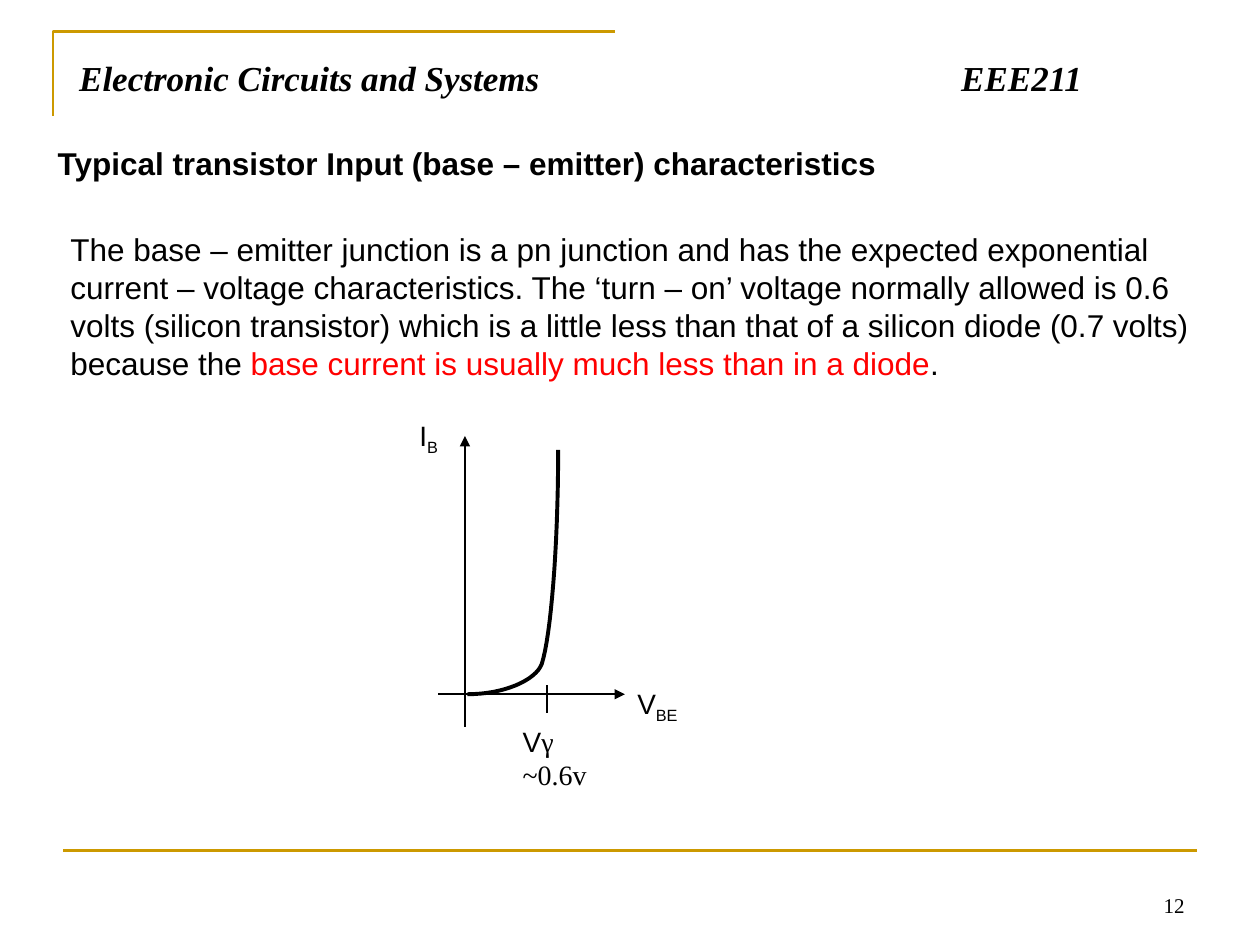
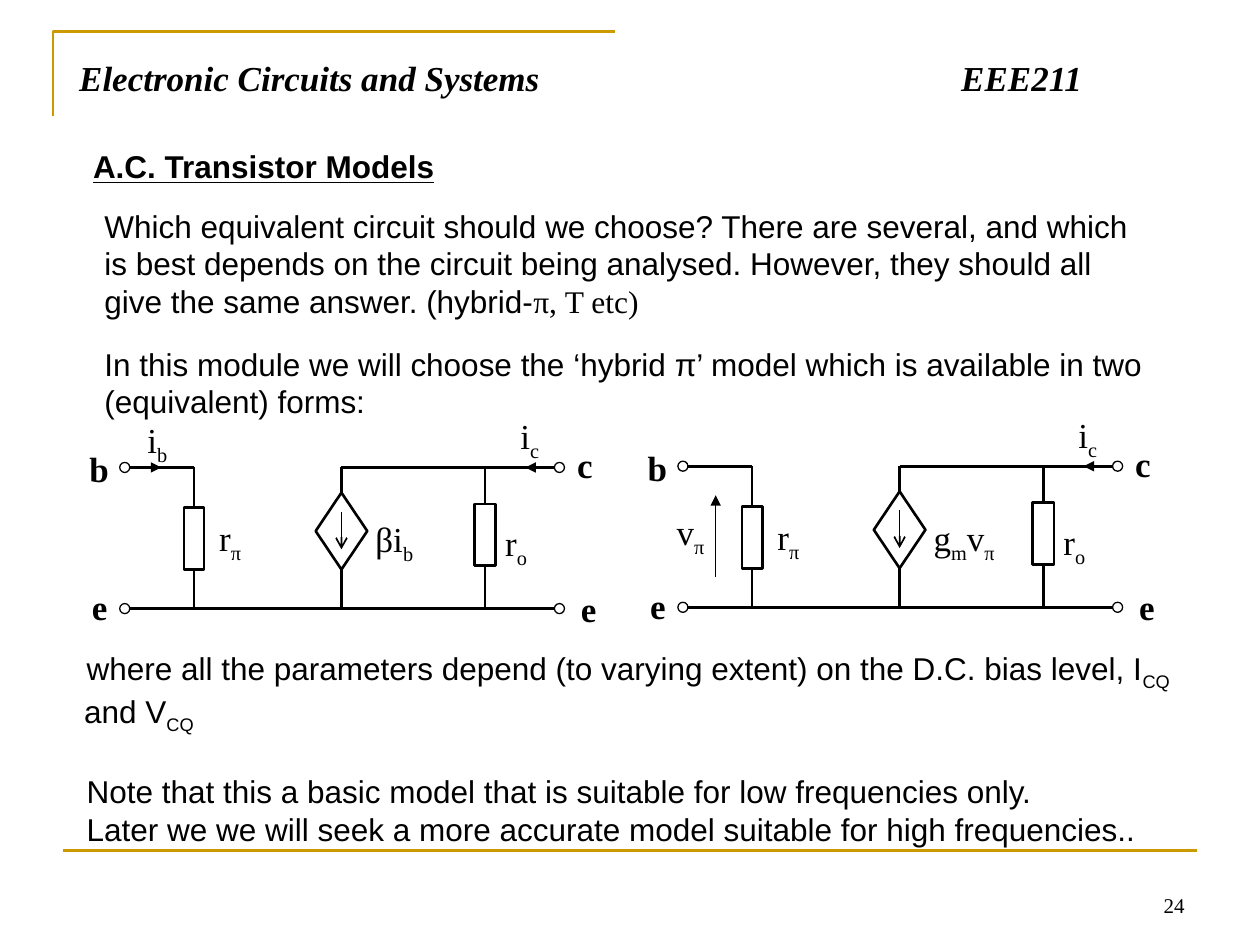
from lxml.etree import SubElement
from pptx import Presentation
from pptx.dml.color import RGBColor
from pptx.enum.shapes import MSO_CONNECTOR, MSO_SHAPE
from pptx.enum.text import MSO_ANCHOR as ANCHOR, PP_ALIGN as ALIGN
from pptx.oxml.ns import qn
from pptx.util import Inches, Pt

GRID = Inches(0.1)  # the slide is 100 columns by 75 rows
COLS, ROWS = 100, 75
BLACK, WHITE, RED, GOLD = "000000", "FFFFFF", "FF0000", "CC9900"
SANS, SERIF = "Arial", "Times New Roman"


def cells(n):
    return round(n * GRID)


def color(hex_string):
    return RGBColor.from_string(hex_string)


def style_line(line, hex_string, weight):
    line.color.rgb = color(hex_string)
    line.width = Pt(weight)


def add_runs(p, text, font=None, rgb=None):
    """Add text to a paragraph; every second part between bars is a subscript."""
    for i, part in enumerate(text.split("|")):
        if not part:
            continue
        r = p.add_run()
        r.text = part
        if font:
            r.font.name = font
        if rgb:
            r.font.color.rgb = color(rgb)
        if i % 2:
            r._r.get_or_add_rPr().set("baseline", "-25000")


def add_text(sl, x, y, w, h, *paragraphs, size=18, font=SANS, bold=None, italic=None,
             underline=None, align=ALIGN.LEFT, anchor=ANCHOR.TOP, inset=True):
    """Add a text box; a paragraph is a string or a list of (text, font, colour) runs."""
    tb = sl.shapes.add_textbox(*map(cells, (x, y, w, h)))
    tf = tb.text_frame
    tf.word_wrap = True
    tf.vertical_anchor = anchor
    if not inset:
        tf.margin_left = tf.margin_right = tf.margin_top = tf.margin_bottom = 0
    for i, runs in enumerate(paragraphs):
        p = tf.add_paragraph() if i else tf.paragraphs[0]
        p.alignment = align
        f = p.font
        f.name, f.size, f.bold, f.italic = font, Pt(size), bold, italic
        f.underline = underline
        f.color.rgb = color(BLACK)
        for run in [(runs,)] if isinstance(runs, str) else runs:
            add_runs(p, *run)
    return tf


def add_line(sl, x1, y1, x2, y2, weight=1.5, rgb=BLACK, arrow=None):
    cx = sl.shapes.add_connector(MSO_CONNECTOR.STRAIGHT, *map(cells, (x1, y1, x2, y2)))
    style_line(cx.line, rgb, weight)
    props = cx.element.spPr
    if arrow:
        SubElement(props.find(qn("a:ln")), qn("a:tailEnd"), type=arrow)
    SubElement(props, qn("a:effectLst"))
    return cx


def add_outline(sl, points, weight, rgb=BLACK):
    """Draw an open, unfilled line through the points."""
    start, *rest = [(cells(x), cells(y)) for x, y in points]
    builder = sl.shapes.build_freeform(*start)
    builder.add_line_segments(rest, close=False)
    sp = builder.convert_to_shape()
    sp.shadow.inherit = False
    sp.fill.background()
    style_line(sp.line, rgb, weight)


def add_shape(sl, kind, x, y, w, h, weight):
    sp = sl.shapes.add_shape(kind, *map(cells, (x, y, w, h)))
    sp.shadow.inherit = False
    sp.fill.solid()
    sp.fill.fore_color.rgb = color(WHITE)
    style_line(sp.line, BLACK, weight)
    return sp


def bezier(a, b, c, d, steps=16):
    """Return points along a cubic curve from a to d."""
    def mix(t, i):
        u = 1 - t
        return u**3 * a[i] + 3 * u * u * t * b[i] + 3 * u * t * t * c[i] + t**3 * d[i]
    return [(mix(n / steps, 0), mix(n / steps, 1)) for n in range(steps + 1)]


def add_slide(prs, number):
    """Add a slide with the course title, the gold rules and the slide number."""
    sl = prs.slides.add_slide(prs.slide_layouts[6])
    add_outline(sl, [(4.2, 9.2), (4.2, 2.5), (48.8, 2.5)], 1.5, GOLD)
    add_line(sl, 5, 67.5, 95, 67.5, rgb=GOLD)
    add_text(sl, 71.7, 68.3, 23.3, 5, str(number), size=12, font=SERIF,
             align=ALIGN.RIGHT, anchor=ANCHOR.BOTTOM)
    tf = add_text(sl, 5.3, 4, 89.2, 6.1, "Electronic Circuits and Systems\tEEE211",
                  size=20, font=SERIF, bold=True, italic=True)
    props = tf.paragraphs[0]._p.get_or_add_pPr()
    tabs = props.makeelement(qn("a:tabLst"))
    SubElement(tabs, qn("a:tab"), pos=str(cells(70)), algn="l")
    props.insert(0, tabs)
    return sl


def add_characteristic(sl):
    """Plot base current against base-emitter voltage."""
    origin_x, origin_y, turn_on = 36.9, 55.1, 43.4
    add_line(sl, 34.8, origin_y, 49.6, origin_y, 1, arrow="triangle")
    add_line(sl, origin_x, 57.7, origin_x, 34.6, 1, arrow="triangle")
    add_line(sl, turn_on, 54.4, turn_on, 56.6, 1)
    knee = (43, 52.7)
    add_outline(sl, bezier((37.1, origin_y), (40, origin_y), (42.5, 54), knee)
                + bezier(knee, (43.7, 50.5), (44.3, 43.6), (44.3, 35.7))[1:], 2.25)
    add_text(sl, 32.3, 32.7, 4.1, 3.7, "I|B", size=16)
    add_text(sl, 49.6, 54, 5.6, 3.7, "V|BE", size=16)
    add_text(sl, 40.5, 57, 7.7, 6.4, [("V",), ("γ ~0.6v", SERIF)], size=16)


def add_hybrid_pi(sl, x0, y0, source, base_label, base_at, base_arrow):
    """Draw a hybrid-π circuit whose base terminal is centred on (x0, y0)."""
    r_pi, gen, r_o, out, bottom = 5.5, 17.2, 28.6, 34.5, 11.2

    def wire(x1, y1, x2, y2, weight=1.5, arrow=None):
        return add_line(sl, x0 + x1, y0 + y1, x0 + x2, y0 + y2, weight, arrow=arrow)

    def label(x, y, text, w=3, bold=None):
        add_text(sl, x0 + x, y0 + y, w, 3.3, text, size=20, font=SERIF, bold=bold,
                 inset=False)

    def branch(kind, x, y, w, h):
        """Place a part on a column, with leads to the top and bottom wires."""
        sp = add_shape(sl, kind, x0 + x - w / 2, y0 + y, w, h, 1.5)
        wire(x, 0, x, y).end_connect(sp, 0)
        wire(x, y + h, x, bottom).begin_connect(sp, 2)

    branch(MSO_SHAPE.RECTANGLE, r_pi, 3.2, 1.6, 4.9)
    branch(MSO_SHAPE.DIAMOND, gen, 2, 4.1, 6.1)
    branch(MSO_SHAPE.RECTANGLE, r_o, 2.9, 1.7, 4.9)
    wire(0, 0, r_pi, 0)
    wire(gen, 0, out, 0)
    wire(0, bottom, out, bottom)
    wire(gen, 3.5, gen, 6.5, 1, "arrow")
    wire(33.3, 0, 31.8, 0, 0.75, "triangle")
    wire(*base_arrow, 0.75, "triangle")
    for x in (0, out):
        for y in (0, bottom):
            add_shape(sl, MSO_SHAPE.OVAL, x0 + x - 0.4, y0 + y - 0.4, 0.8, 0.8, 0.75)

    for x, y, name in ((-2.8, -1.6, "b"), (-2.6, 9.4, "e"),
                       (35.9, -1.9, "c"), (36.2, 9.5, "e")):
        label(x, y, name, 1.5, True)
    label(7.5, 3.9, "r|π")
    label(19.9, 4, source, 5.6)
    label(30.2, 4.3, "r|o")
    label(31.4, -4.2, "i|c")
    label(*base_at, base_label)


def add_input_slide(prs):
    sl = add_slide(prs, 12)
    add_text(sl, 3.6, 10.9, 76.4, 4,
             "Typical transistor Input (base – emitter) characteristics", bold=True)
    add_text(sl, 4.6, 17.8, 92.2, 13.1, [
        ("The base – emitter junction is a pn junction and has the expected exponential "
         "current – voltage characteristics. The ‘turn – on’ voltage normally allowed is "
         "0.6 volts (silicon transistor) which is a little less than that of a silicon "
         "diode (0.7 volts) because the ",),
        ("base current is usually much less than in a diode", SANS, RED), (".",)])
    add_characteristic(sl)


def add_models_slide(prs):
    sl = add_slide(prs, 24)
    add_text(sl, 6.4, 11.2, 36.6, 4, "A.C. Transistor Models", bold=True,
             underline=True, anchor=ANCHOR.MIDDLE)
    add_text(sl, 7.3, 15.9, 85, 10, [
        ("Which equivalent circuit should we choose? There are several, and which is best "
         "depends on the circuit being analysed. However, they should all give the same "
         "answer. (hybrid-",), ("π, T etc)", SERIF)], anchor=ANCHOR.MIDDLE)
    add_text(sl, 7.3, 26.8, 85, 7.1,
             "In this module we will choose the ‘hybrid π’ model which is available in two "
             "(equivalent) forms:", anchor=ANCHOR.MIDDLE)
    add_hybrid_pi(sl, 9.9, 37.1, "βi|b", "i|b", (1.8, -3.9), (1.4, 0, 2.9, 0))
    add_hybrid_pi(sl, 54.2, 37, "g|m|v|π", "v|π", (-0.5, 3.5), (2.6, 8.8, 2.6, 2.3))
    tf = add_text(
        sl, 5.7, 51.4, 90.3, 16,
        "where all the parameters depend (to varying extent) on the D.C. bias level, "
        "I|CQ| and V|CQ",
        "Note that this a basic model that is suitable for low frequencies only.",
        "Later we we will seek a more accurate model suitable for high frequencies..",
        anchor=ANCHOR.MIDDLE)
    tf.paragraphs[1].space_before = Pt(21.6)
    for p in tf.paragraphs:
        p._p.get_or_add_pPr().set("indent", str(cells(0.2)))


def main():
    prs = Presentation()
    prs.slide_width, prs.slide_height = cells(COLS), cells(ROWS)
    add_input_slide(prs)
    add_models_slide(prs)
    prs.save("out.pptx")


if __name__ == "__main__":
    main()
